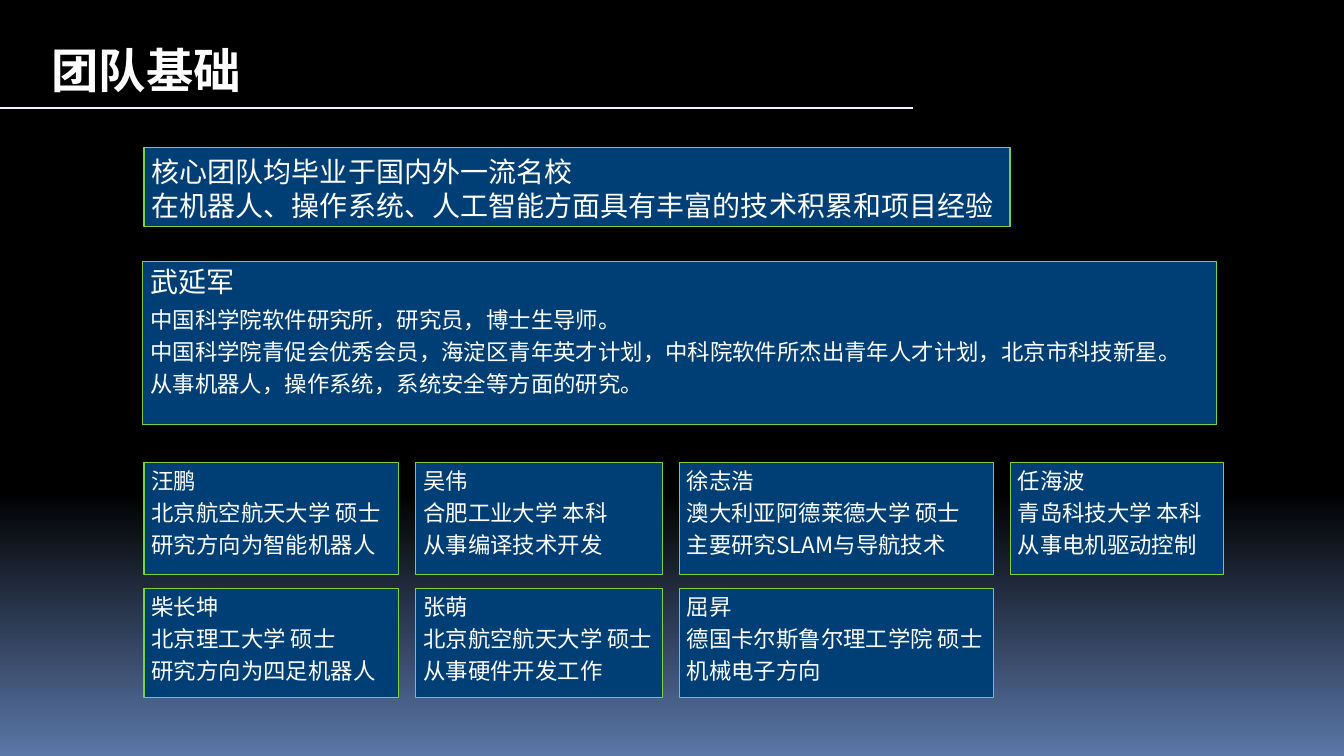
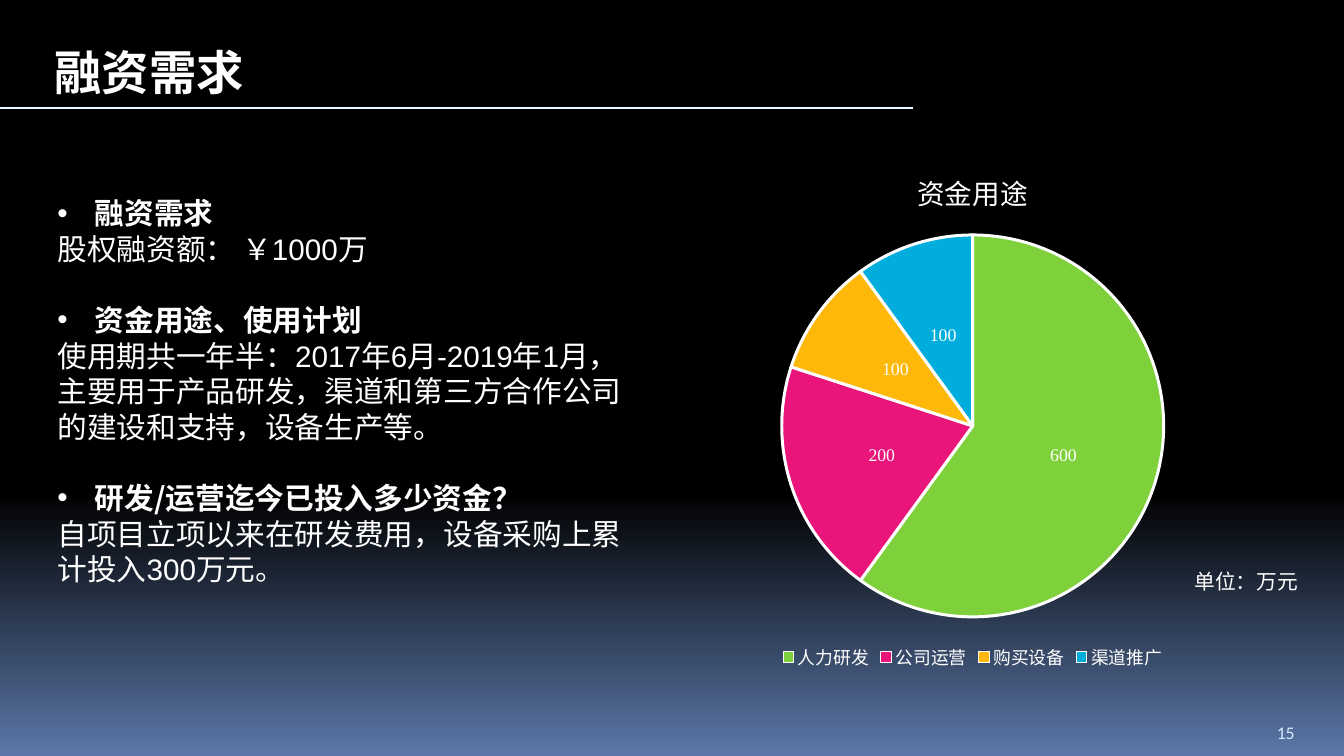
from lxml.etree import SubElement
from pptx import Presentation
from pptx.chart.data import CategoryChartData
from pptx.dml.color import RGBColor
from pptx.enum.chart import XL_CHART_TYPE, XL_LABEL_POSITION, XL_LEGEND_POSITION
from pptx.enum.shapes import MSO_CONNECTOR, MSO_SHAPE
from pptx.enum.text import MSO_ANCHOR, MSO_AUTO_SIZE, PP_ALIGN
from pptx.oxml.ns import qn
from pptx.util import Cm, Pt

CJK = "Noto Sans CJK SC"
SERIF = "Times New Roman"
WHITE = "FFFFFF"
BLACK = "000000"
GLOW = "5B77A8"
RULE = "EFF7FF"
PANEL = "003F75"
GREEN = "7FD13B"
NUMBER = "D6ECFF"
SLICES = [GREEN, "EA157A", "FEB80A", "00ADDC"]


def rgb(value):
    return RGBColor.from_string(value)


def style_font(font, size, name=CJK, color=WHITE, bold=False):
    font.size = Pt(size)
    font.bold = bold
    font.color.rgb = rgb(color)
    font.name = name
    SubElement(font._rPr, qn("a:ea")).set("typeface", CJK)


class Deck:
    def __init__(self):
        self.prs = Presentation()
        self.prs.slide_width, self.prs.slide_height = Cm(32), Cm(18)
        fill = self.prs.slide_master.background.fill
        fill.gradient()
        fill.gradient_angle = 270
        for stop, position, color in zip(fill.gradient_stops, (0.65, 1), (BLACK, GLOW)):
            stop.position = position
            stop.color.rgb = rgb(color)

    def slide(self, title, x, y):
        self.s = self.prs.slides.add_slide(self.prs.slide_layouts[5])
        sp = self.s.shapes.title
        sp.left, sp.top, sp.width, sp.height = Cm(x), Cm(y), Cm(5.6), Cm(1.63)
        tf = sp.text_frame
        tf.auto_size = MSO_AUTO_SIZE.NONE
        tf.vertical_anchor = MSO_ANCHOR.TOP
        tf.word_wrap = False
        self.run(tf.paragraphs[0], title, 32, bold=True)
        self.rule(21.75, 2.57)

    def rule(self, length, y):
        line = self.s.shapes.add_connector(MSO_CONNECTOR.STRAIGHT, 0, Cm(y), Cm(length), Cm(y))
        line.line.color.rgb = rgb(RULE)
        line.line.width = Pt(1.5)
        SubElement(line._element.spPr, qn("a:effectLst"))

    def run(self, p, text, size, **style):
        p.alignment = PP_ALIGN.LEFT
        r = p.add_run()
        r.text = text
        style_font(r.font, size, **style)

    def paragraphs(self, tf, count):
        return [tf.paragraphs[0]] + [tf.add_paragraph() for _ in range(count - 1)]

    def text(self, x, y, w, h, anchor=MSO_ANCHOR.TOP):
        tf = self.s.shapes.add_textbox(Cm(x), Cm(y), Cm(w), Cm(h)).text_frame
        tf.word_wrap = True
        tf.vertical_anchor = anchor
        return tf

    def label(self, x, y, w, h, text, size, anchor=MSO_ANCHOR.TOP, **style):
        tf = self.text(x, y, w, h, anchor)
        self.run(tf.paragraphs[0], text, size, **style)

    def panel(self, x, y, w, h, lines, sizes, spaced=True):
        sp = self.s.shapes.add_shape(MSO_SHAPE.RECTANGLE, Cm(x), Cm(y), Cm(w), Cm(h))
        sp.shadow.inherit = False
        sp.fill.solid()
        sp.fill.fore_color.rgb = rgb(PANEL)
        sp.line.color.rgb = rgb(GREEN)
        sp.line.width = Pt(0.75)
        tf = sp.text_frame
        tf.word_wrap = True
        tf.vertical_anchor = MSO_ANCHOR.TOP
        tf.margin_left = tf.margin_right = tf.margin_top = tf.margin_bottom = Cm(0.18)
        for p, text, size in zip(self.paragraphs(tf, len(lines)), lines, sizes):
            if spaced:
                p.line_spacing = 0.9
                p.space_after = Pt(round(size * 0.35, 1))
            self.run(p, text, size)

    def topics(self, x, y, w, h, topics):
        tf = self.text(x, y, w, h)
        tf.margin_left = tf.margin_right = Cm(0.28)
        tf.margin_top = tf.margin_bottom = Cm(0.15)
        paragraphs = self.paragraphs(tf, 2 * len(topics))
        for i, (heading, body) in enumerate(topics):
            head, detail = paragraphs[2 * i:2 * i + 2]
            head.space_before = Pt(24 if i else 0)
            self.run(head, heading, 20, bold=True)
            pPr = head._p.get_or_add_pPr()
            pPr.set("marL", str(Cm(0.89)))
            pPr.set("indent", str(-Cm(0.89)))
            SubElement(pPr, qn("a:buFont")).set("typeface", "Arial")
            SubElement(pPr, qn("a:buChar")).set("char", "•")
            self.run(detail, body, 20, name="Arial")

    def pie(self, x, y, w, h, title, values):
        data = CategoryChartData()
        data.categories = list(values)
        data.add_series(title, list(values.values()))
        chart = self.s.shapes.add_chart(
            XL_CHART_TYPE.PIE, Cm(x), Cm(y), Cm(w), Cm(h), data).chart
        style_font(chart.font, 10, SERIF)
        chart.has_title = True
        self.run(chart.chart_title.text_frame.paragraphs[0], title, 18.6, name=SERIF)
        chart.chart_title.include_in_layout = False
        chart.has_legend = True
        chart.legend.position = XL_LEGEND_POSITION.BOTTOM
        chart.legend.include_in_layout = False
        style_font(chart.legend.font, 12, SERIF)
        plot = chart.plots[0]
        plot.vary_by_categories = True
        series = plot.series[0]
        for i, color in enumerate(SLICES):
            fmt = series.points[i].format
            fmt.fill.solid()
            fmt.fill.fore_color.rgb = rgb(color)
            fmt.line.color.rgb = rgb(WHITE)
            fmt.line.width = Pt(2)
        labels = series.data_labels
        labels.show_value = True
        labels.position = XL_LABEL_POSITION.CENTER
        style_font(labels.font, 12, SERIF)


def team(deck):
    deck.slide("团队基础", 0.97, 0.84)
    deck.panel(3.43, 3.51, 20.62, 1.88, [
        "核心团队均毕业于国内外一流名校",
        "在机器人、操作系统、人工智能方面具有丰富的技术积累和项目经验",
    ], [18.9] * 2, spaced=False)
    deck.panel(3.4, 6.22, 25.57, 3.89, [
        "武延军",
        "中国科学院软件研究所，研究员，博士生导师。",
        "中国科学院青促会优秀会员，海淀区青年英才计划，中科院软件所杰出青年人才计划，北京市科技新星。",
        "从事机器人，操作系统，系统安全等方面的研究。",
    ], [18.9] + [15.1] * 3)
    widths = [6.07, 5.87, 7.48, 5.08]
    rows = [
        (11.01, 2.67, [
            ("汪鹏", "北京航空航天大学 硕士", "研究方向为智能机器人"),
            ("吴伟", "合肥工业大学 本科", "从事编译技术开发"),
            ("徐志浩", "澳大利亚阿德莱德大学 硕士", "主要研究SLAM与导航技术"),
            ("任海波", "青岛科技大学 本科", "从事电机驱动控制"),
        ]),
        (14.02, 2.59, [
            ("柴长坤", "北京理工大学 硕士", "研究方向为四足机器人"),
            ("张萌", "北京航空航天大学 硕士", "从事硬件开发工作"),
            ("屈昇", "德国卡尔斯鲁尔理工学院 硕士", "机械电子方向"),
        ]),
    ]
    for y, h, members in rows:
        x = 3.43
        for w, lines in zip(widths, members):
            deck.panel(x, y, w, h, lines, [15.1] * 3)
            x += w + 0.4


def funding(deck):
    deck.slide("融资需求", 1.04, 0.89)
    deck.topics(1.09, 4.5, 14.4, 10.54, [
        ("融资需求", "股权融资额： ￥1000万"),
        ("资金用途、使用计划",
         "使用期共一年半：2017年6月-2019年1月，主要用于产品研发，"
         "渠道和第三方合作公司的建设和支持，设备生产等。"),
        ("研发/运营迄今已投入多少资金？",
         "自项目立项以来在研发费用，设备采购上累计投入300万元。"),
    ])
    deck.pie(15.39, 3.51, 15.54, 12.55, "资金用途",
             {"人力研发": 600, "公司运营": 200, "购买设备": 100, "渠道推广": 100})
    deck.label(28.19, 13.41, 3.12, 0.86, "单位：万元", 14, name="Calibri")
    deck.label(30.15, 16.84, 1.6, 0.97, "15", 12, MSO_ANCHOR.BOTTOM,
               name="Calibri", color=NUMBER)


def main():
    deck = Deck()
    team(deck)
    funding(deck)
    deck.prs.save("out.pptx")


if __name__ == "__main__":
    main()
